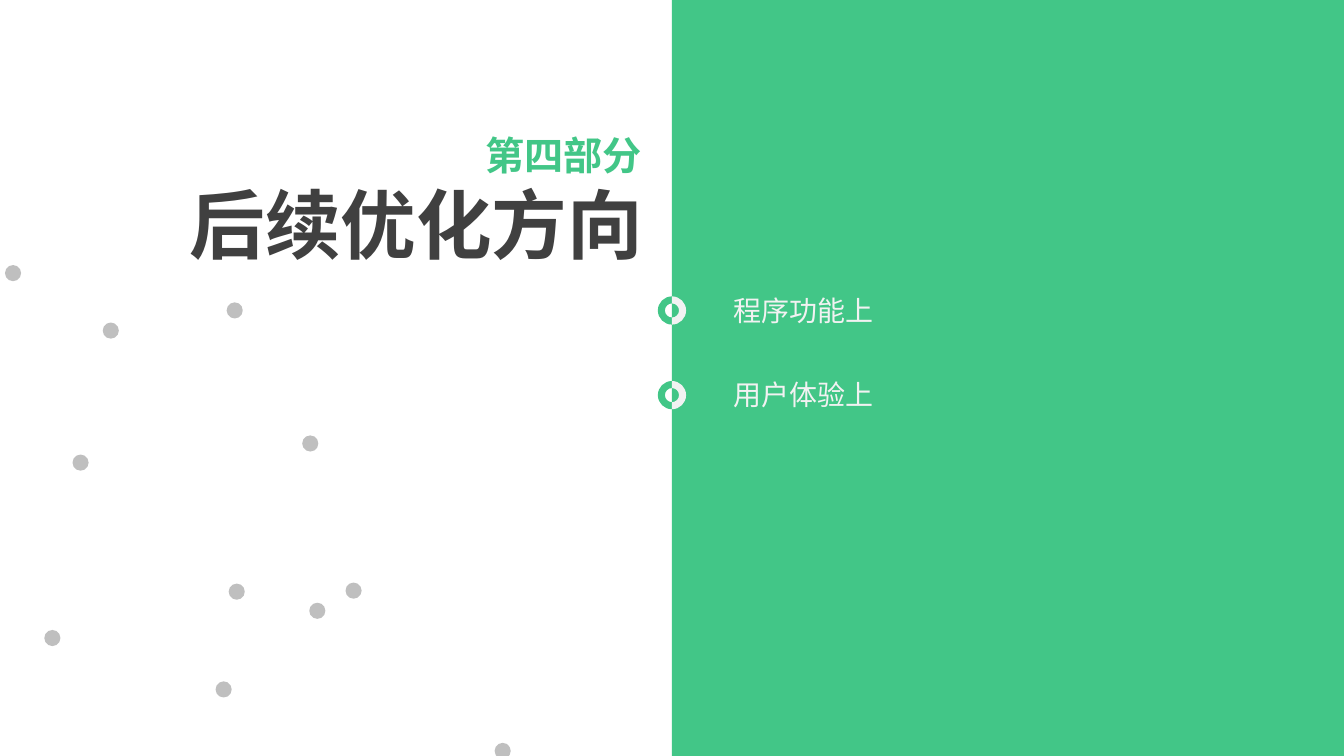
"""Build the section divider slide for part four."""
from lxml.etree import SubElement
from pptx import Presentation
from pptx.dml.color import RGBColor
from pptx.enum.shapes import MSO_SHAPE
from pptx.enum.text import MSO_ANCHOR, MSO_AUTO_SIZE, PP_ALIGN
from pptx.oxml.ns import qn
from pptx.util import Inches, Pt

COLORS = {"green": "42C687", "pale": "F2F2F2", "dark": "404040", "dot": "BFBFBF"}
FONT = "Noto Sans CJK SC"
WIDTH, HEIGHT = 13.34, 7.5
MIDDLE = WIDTH / 2

HEADINGS = [
    ("后续优化方向", (1.78, 1.72, 4.7, 1), PP_ALIGN.RIGHT,
     {"size": Pt(54), "bold": True}, "dark"),
    ("第四部分", (4.72, 1.25, 1.75, 0.57), PP_ALIGN.CENTER,
     {"size": Pt(28), "bold": True}, "green"),
]
TOPICS = ["程序功能上", "用户体验上"]
TOPIC_CENTER, TOPIC_PITCH = 3.08, 0.84
TOPIC_LEFT, TOPIC_SIZE = 7.18, (1.59, 0.44)
RING_OUTER, RING_INNER = 0.14, 0.07
BEND = 0.55
HALF_CIRCLE = [(0, -1), (BEND, -1), (1, -BEND), (1, 0), (1, BEND), (BEND, 1), (0, 1)]
CURVE_STARTS = (0, 3, 7, 10)

DOT_SIZE = 0.16
DOTS = [
    (4.91, 7.37), (3.07, 5.98), (0.05, 2.63), (1.02, 3.2), (2.25, 3), (3, 4.32),
    (3.43, 5.78), (2.27, 5.79), (0.72, 4.51), (2.14, 6.76), (0.44, 6.25),
]


def paint(shape, color):
    shape.shadow.inherit = False
    shape.fill.solid()
    shape.fill.fore_color.rgb = RGBColor.from_string(COLORS[color])
    shape.line.fill.background()


def add_preset(page, kind, place, color):
    shape = page.shapes.add_shape(kind, *map(Inches, place))
    paint(shape, color)


def add_half_ring(page, center, side, color):
    points = [
        (Inches(MIDDLE + side * radius * across), Inches(center + radius * down))
        for radius, arc in ((RING_OUTER, HALF_CIRCLE), (RING_INNER, HALF_CIRCLE[::-1]))
        for across, down in arc
    ]
    builder = page.shapes.build_freeform(*points[0])
    builder.add_line_segments(points[1:], close=True)
    ring = builder.convert_to_shape()
    paint(ring, color)
    lines = list(ring._element.iter(qn("a:lnTo")))
    for start in CURVE_STARTS:
        first, *others = lines[start:start + 3]
        first.tag = qn("a:cubicBezTo")
        for line in others:
            first.append(line[0])
            line.getparent().remove(line)


def add_text(page, text, place, align, style, color):
    box = page.shapes.add_textbox(*map(Inches, place))
    frame = box.text_frame
    layout = {"word_wrap": False, "vertical_anchor": MSO_ANCHOR.TOP,
              "auto_size": MSO_AUTO_SIZE.SHAPE_TO_FIT_TEXT}
    for name, value in layout.items():
        setattr(frame, name, value)
    para = frame.paragraphs[0]
    para.alignment = align
    span = para.add_run()
    span.text = text
    for name, value in {"name": FONT, **style}.items():
        setattr(span.font, name, value)
    span.font.color.rgb = RGBColor.from_string(COLORS[color])
    SubElement(span._r.get_or_add_rPr(), qn("a:ea"), typeface=FONT)


def main():
    deck = Presentation()
    deck.slide_width, deck.slide_height = Inches(WIDTH), Inches(HEIGHT)
    page = deck.slides.add_slide(deck.slide_layouts[6])

    for left, top in DOTS:
        add_preset(page, MSO_SHAPE.OVAL, (left, top, DOT_SIZE, DOT_SIZE), "dot")
    add_preset(page, MSO_SHAPE.RECTANGLE, (MIDDLE, 0, MIDDLE, HEIGHT), "green")

    for heading in HEADINGS:
        add_text(page, *heading)

    for row, topic in enumerate(TOPICS):
        center = TOPIC_CENTER + row * TOPIC_PITCH
        add_half_ring(page, center, -1, "green")
        add_half_ring(page, center, 1, "pale")
        place = (TOPIC_LEFT, center - TOPIC_SIZE[1] / 2, *TOPIC_SIZE)
        add_text(page, topic, place, PP_ALIGN.LEFT, {"size": Pt(20)}, "pale")

    deck.save("out.pptx")


if __name__ == "__main__":
    main()
